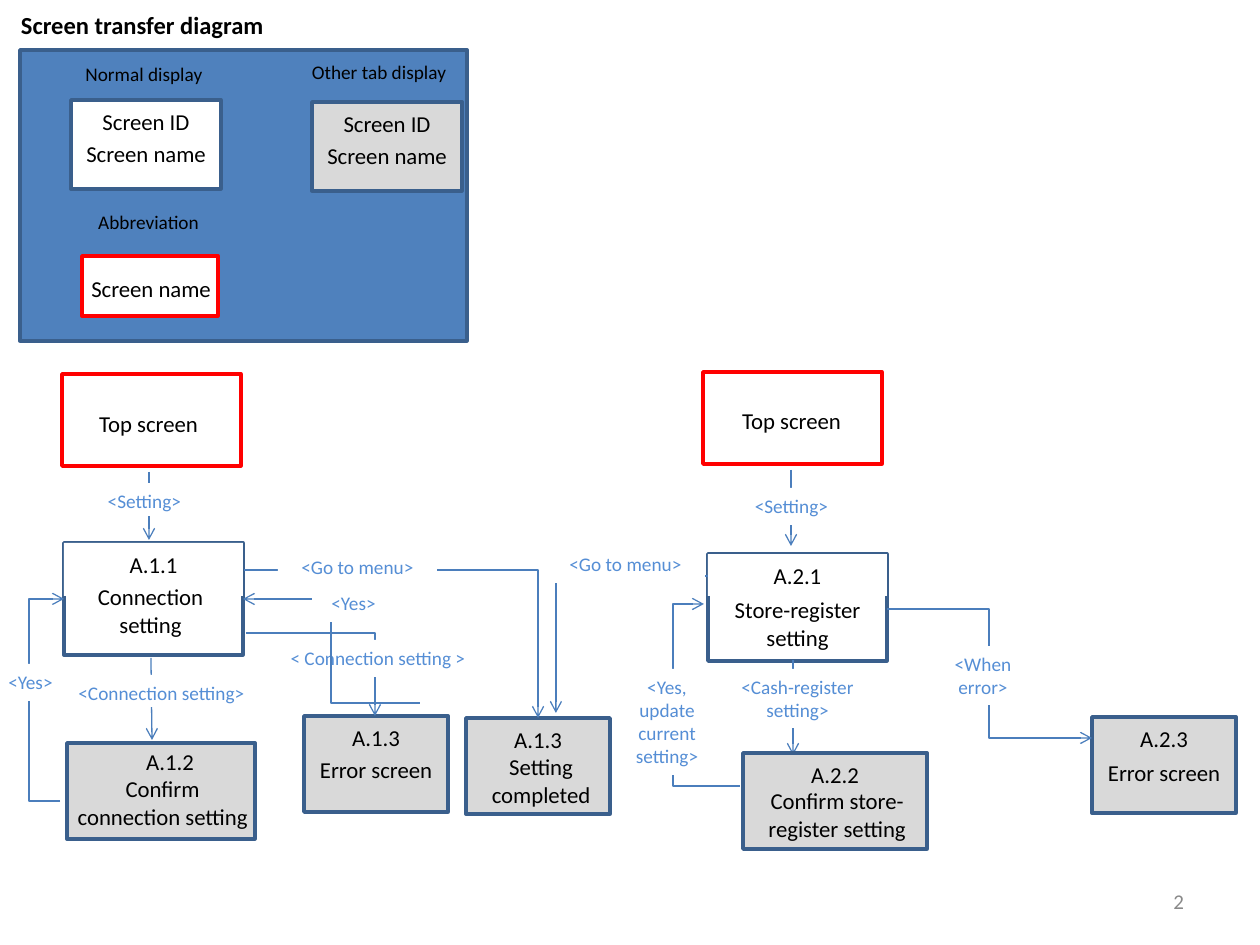
from lxml import etree
from pptx import Presentation
from pptx import util as u
from pptx.dml.color import RGBColor
from pptx.enum import shapes, text
from pptx.oxml import ns

PX = 914400 / 126
COLORS = {
    "white": "FFFFFF", "black": "000000", "grey": "D9D9D9", "panel": "4F81BD",
    "frame": "3A5F8C", "red": "FF0000", "arrow": "4B7EBC", "label": "558ED5",
    "number": "898989",
}
LABEL_INSETS = (13, 6)
SCREEN_INSETS = (14, 8)
CAPTION_INSETS = (20, 10)


def emu(*lengths):
    return [u.Emu(round(length * PX)) for length in lengths]


def color(name):
    return RGBColor.from_string(COLORS[name])


def add_rect(page, area, fill, line=None):
    rect = page.shapes.add_shape(shapes.MSO_SHAPE.RECTANGLE, *emu(*area))
    rect.shadow.inherit = False
    rect.fill.solid()
    rect.fill.fore_color.rgb = color(fill)
    if line:
        rect.line.color.rgb = color(line)
        rect.line.width = u.Pt(2)
    else:
        rect.line.fill.background()
    return rect


def write(box, words, size, insets, ink="black", align="CENTER", bold=False):
    frame = box.text_frame
    frame.word_wrap = True
    frame.vertical_anchor = text.MSO_ANCHOR.TOP
    frame.margin_left, frame.margin_top = emu(*insets)
    frame.margin_right, frame.margin_bottom = emu(*insets)
    frame.text = words
    para = frame.paragraphs[0]
    para.alignment = getattr(text.PP_ALIGN, align)
    font = para.runs[0].font
    font.name = "Calibri"
    font.size = u.Pt(size)
    font.bold = bold
    font.color.rgb = color(ink)


def add_text(page, area, words, size=13, insets=SCREEN_INSETS, **style):
    box = page.shapes.add_textbox(*emu(*area))
    write(box, words, size, insets, **style)
    return box


def add_caption(page, area, words):
    add_text(page, area, words, 11, CAPTION_INSETS)


def add_label(page, area, words):
    write(add_rect(page, area, "white"), words, 11, LABEL_INSETS, "label")


def add_screen(page, area, fill, screen_id, id_area, name, name_area):
    add_rect(page, area, fill, "frame")
    add_text(page, id_area, screen_id)
    add_text(page, name_area, name)


def add_open_screen(page, area, screen_id, id_height, name, name_area):
    add_rect(page, area, "white", "frame")
    left, top, width, _ = area
    for part, words in (((left, top, width, id_height), screen_id), (name_area, name)):
        write(add_rect(page, part, "white"), words, 13, SCREEN_INSETS)


def add_short_screen(page, area, name, name_area):
    add_rect(page, area, "white", "red")
    add_text(page, name_area, name)


def add_arrow(page, start, end, bend=None):
    kinds = shapes.MSO_CONNECTOR
    kind = kinds.STRAIGHT if bend is None else kinds.ELBOW
    arrow = page.shapes.add_connector(kind, *emu(*start, *end))
    arrow.line.color.rgb = color("arrow")
    arrow.line.width = u.Pt(0.75)
    properties = arrow.element.spPr
    etree.SubElement(arrow.line._get_or_add_ln(), ns.qn("a:tailEnd"), type="arrow")
    etree.SubElement(properties, ns.qn("a:effectLst"))
    if bend is None:
        return
    geometry = properties.find(ns.qn("a:prstGeom"))
    if bend == end[0]:
        geometry.set("prst", "bentConnector2")
    else:
        share = round((bend - start[0]) / (end[0] - start[0]) * 100000)
        guides = geometry.find(ns.qn("a:avLst"))
        etree.SubElement(guides, ns.qn("a:gd"), name="adj1", fmla=f"val {share}")


def add_connection_flow(page):
    add_arrow(page, (149, 472), (149, 540))
    add_label(page, (94, 483, 101, 33), "<Setting>")
    add_short_screen(page, (62, 374, 179, 92), "Top screen", (59, 402, 179, 42))
    add_open_screen(page, (64, 543, 179, 112), "A.1.1", 53,
                    "Connection setting", (69, 575, 163, 69))
    add_arrow(page, (151, 658), (152, 740))
    add_label(page, (59, 675, 205, 32), "<Connection setting>")
    add_screen(page, (67, 743, 188, 96), "grey", "A.1.2", (98, 740, 144, 44),
               "Confirm connection setting", (60, 767, 205, 69))
    add_arrow(page, (60, 801), (64, 599), 29)
    add_label(page, (-11, 664, 83, 37), "<Yes>")


def add_register_flow(page):
    add_arrow(page, (791, 470), (791, 546))
    add_label(page, (741, 488, 101, 37), "<Setting>")
    add_short_screen(page, (703, 372, 179, 92), "Top screen", (702, 399, 179, 42))
    add_open_screen(page, (708, 554, 179, 107), "A.2.1", 42,
                    "Store-register setting", (716, 588, 163, 71))
    add_arrow(page, (793, 660), (793, 755))
    add_label(page, (723, 669, 149, 59), "<Cash-register setting>")
    add_screen(page, (743, 753, 184, 96), "grey", "A.2.2", (743, 753, 184, 44),
               "Confirm store-register setting", (745, 779, 184, 125))
    add_arrow(page, (740, 786), (704, 604), 673)
    add_label(page, (621, 669, 92, 106), "<Yes, update current setting>")
    add_screen(page, (1092, 717, 144, 96), "grey", "A.2.3", (1092, 717, 144, 42),
               "Error screen", (1092, 751, 144, 42))
    add_arrow(page, (887, 609), (1092, 738), 989)


def add_outcomes(page):
    add_screen(page, (304, 716, 144, 96), "grey", "A.1.3", (304, 716, 144, 44),
               "Error screen", (304, 748, 144, 42))
    add_arrow(page, (246, 633), (375, 716), 375)
    add_label(page, (273, 640, 210, 37), "< Connection setting >")
    add_arrow(page, (420, 703), (243, 599), 331)
    add_label(page, (312, 585, 83, 37), "<Yes>")
    add_screen(page, (466, 718, 144, 96), "grey", "A.1.3", (466, 718, 144, 44),
               "Setting completed", (469, 745, 144, 69))
    add_arrow(page, (244, 570), (538, 718), 538)
    add_arrow(page, (708, 576), (556, 713), 556)
    add_label(page, (278, 549, 159, 37), "<Go to menu>")
    add_label(page, (546, 546, 159, 37), "<Go to menu>")
    add_label(page, (924, 646, 118, 59), "<When error>")


def add_legend(page):
    add_rect(page, (20, 50, 447, 291), "panel", "frame")
    add_caption(page, (62, 52, 164, 43), "Normal display")
    add_caption(page, (289, 50, 180, 43), "Other tab display")
    for left, top, fill in ((71, 100, "white"), (312, 102, "grey")):
        add_screen(page, (left, top, 150, 89), fill,
                   "Screen ID", (left, top, 150, 42),
                   "Screen name", (left, top + 32, 150, 42))
    add_caption(page, (76, 200, 145, 43), "Abbreviation")
    add_short_screen(page, (82, 256, 136, 60), "Screen name", (76, 267, 150, 42))


def main():
    deck = Presentation()
    deck.slide_width, deck.slide_height = emu(1260, 945)
    page = deck.slides.add_slide(deck.slide_layouts[6])
    number = add_text(page, (903, 876, 294, 50), "2", 12, LABEL_INSETS,
                      ink="number", align="RIGHT")
    number.text_frame.vertical_anchor = text.MSO_ANCHOR.MIDDLE
    add_text(page, (1, 0, 442, 49), "Screen transfer diagram", 14, CAPTION_INSETS,
             align="LEFT", bold=True)
    add_connection_flow(page)
    add_register_flow(page)
    add_outcomes(page)
    add_legend(page)
    deck.save("out.pptx")


if __name__ == "__main__":
    main()
